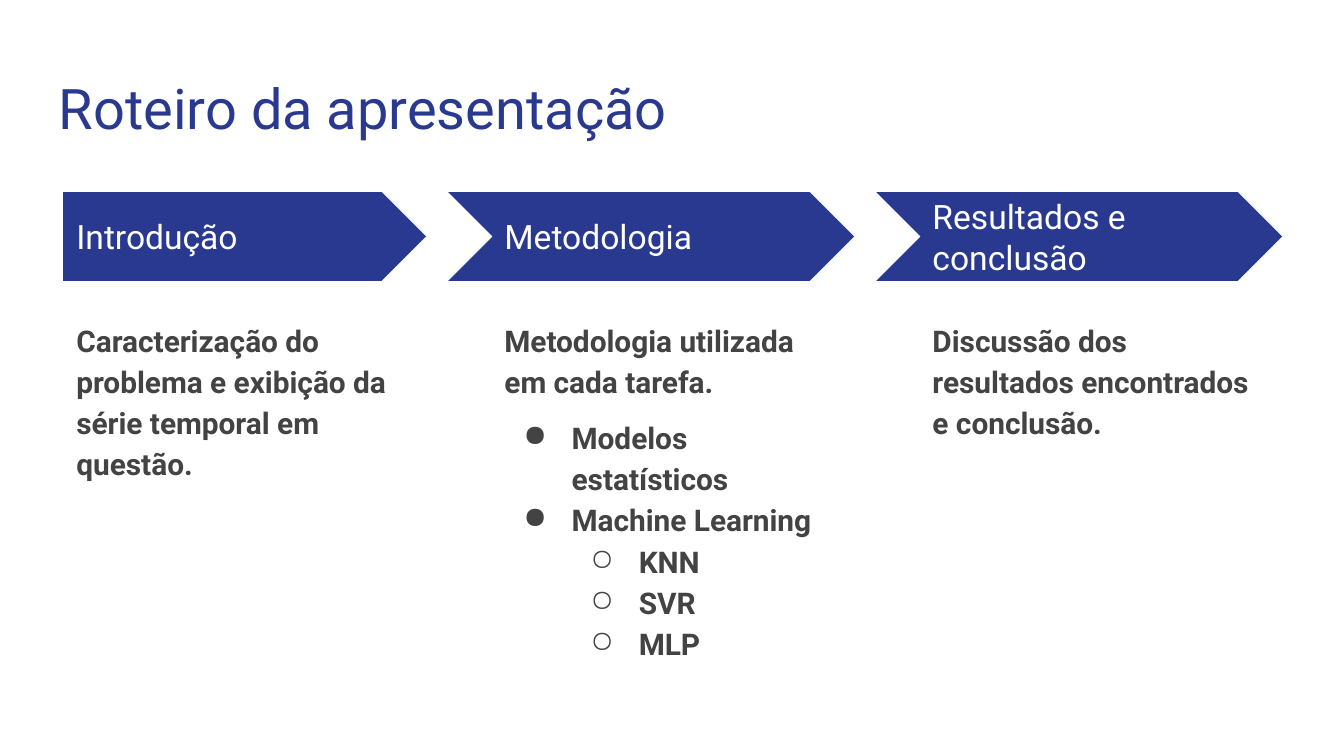
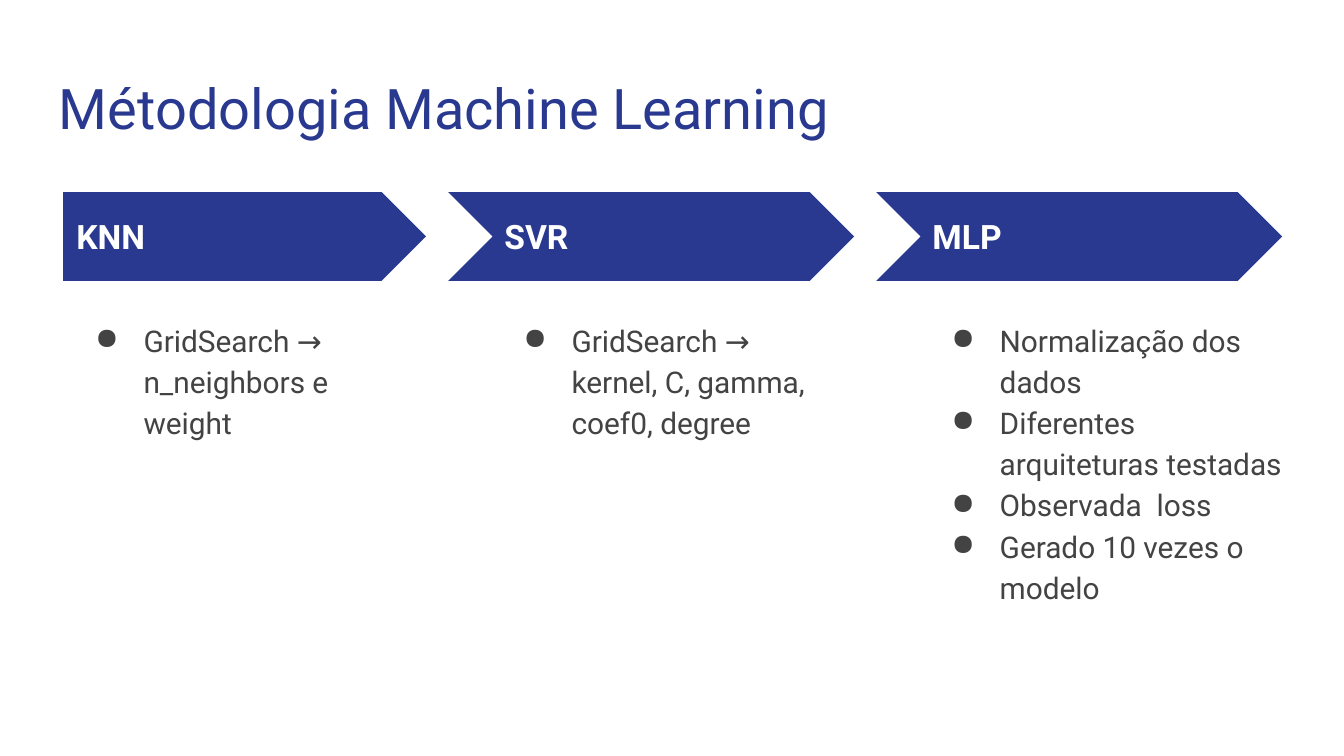
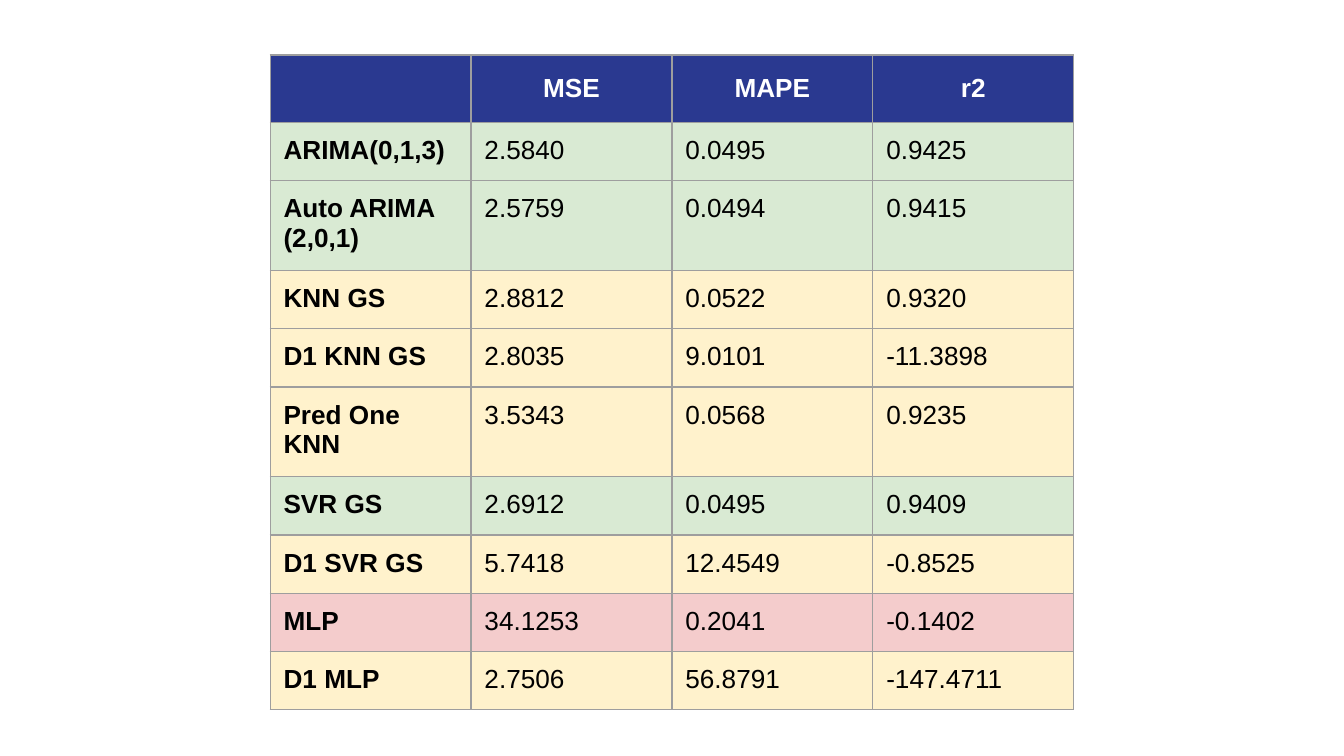
"""Build three slides on a time series study: outline, machine learning methods and metrics."""
from dataclasses import dataclass

from lxml import etree
from pptx import Presentation, util as u
from pptx.dml.color import RGBColor
from pptx.enum import shapes, text
from pptx.oxml.ns import qn


@dataclass(frozen=True)
class Theme:
    navy: str = "2A3990"
    white: str = "FFFFFF"
    body: str = "434343"
    black: str = "000000"
    rule: str = "9E9E9E"
    good: str = "D9EAD3"
    fair: str = "FFF2CC"
    poor: str = "F4CCCC"
    font: str = "Roboto"
    table_font: str = "Arial"
    title_size: int = 30
    label_size: int = 18
    body_size: int = 16
    table_size: int = 14


theme = Theme()
INSET = u.Inches(0.1)
BULLETS = {1: "●", 2: "○"}


def style_run(run, font, size, color, bold):
    run.font.name = font
    run.font.size = u.Pt(size)
    run.font.bold = bold
    run.font.color.rgb = RGBColor.from_string(color)


def write(slide, box, items, size, color, bold=False, anchor=text.MSO_ANCHOR.TOP, spacing=1.0):
    frame = slide.shapes.add_textbox(*map(u.Inches, box)).text_frame
    frame.word_wrap = True
    frame.vertical_anchor = anchor
    frame.margin_left = frame.margin_right = frame.margin_top = frame.margin_bottom = INSET
    frame.text = "\n".join(words for _, words in items)
    for paragraph, (level, _) in zip(frame.paragraphs, items):
        paragraph.line_spacing = spacing
        style_run(paragraph.runs[0], theme.font, size, color, bold)
        if level == 0:
            paragraph.space_after = u.Pt(8)
            continue
        paragraph.level = level - 1
        properties = paragraph._p.get_or_add_pPr()
        properties.set("marL", str(u.Inches(0.5 * level)))
        properties.set("indent", str(u.Inches(-0.36)))
        bullet_color = etree.SubElement(properties, qn("a:buClr"))
        etree.SubElement(bullet_color, qn("a:srgbClr"), val=color)
        etree.SubElement(properties, qn("a:buChar"), char=BULLETS[level])


deck = Presentation()
deck.slide_width = u.Inches(10)
deck.slide_height = u.Inches(5.625)
blank = deck.slide_layouts[6]

LEFT, PITCH, COLUMN, NOTCH = 0.47, 3.185, 2.7, 0.32
BAND_TOP, BAND_HEIGHT = 1.43, 0.66
LABEL_WIDTH, LABEL_HEIGHT = 2.47, 0.34
DETAIL_TOP, DETAIL_HEIGHT = 2.26, 2.9

stage_slides = [
    ("Roteiro da apresentação", False, True, [
        ("Introdução", COLUMN,
         [(0, "Caracterização do problema e exibição da série temporal em questão.")]),
        ("Metodologia", COLUMN,
         [(0, "Metodologia utilizada em cada tarefa."), (1, "Modelos estatísticos"),
          (1, "Machine Learning"), (2, "KNN"), (2, "SVR"), (2, "MLP")]),
        ("Resultados e conclusão", COLUMN,
         [(0, "Discussão dos resultados encontrados e conclusão.")]),
    ]),
    ("Métodologia Machine Learning", True, False, [
        ("KNN", COLUMN, [(1, "GridSearch → n_neighbors e weight")]),
        ("SVR", COLUMN, [(1, "GridSearch → kernel, C, gamma, coef0, degree")]),
        ("MLP", 2.92,
         [(1, "Normalização dos dados"), (1, "Diferentes arquiteturas testadas"),
          (1, "Observada  loss"), (1, "Gerado 10 vezes o modelo")]),
    ]),
]

for title, bold_labels, bold_details, stages in stage_slides:
    slide = deck.slides.add_slide(blank)
    write(slide, (0.34, 0.45, 9.32, 0.66), [(0, title)], theme.title_size, theme.navy)
    for position, (label, detail_width, details) in enumerate(stages):
        left = LEFT + position * PITCH
        notch = NOTCH if position else 0
        outline = shapes.MSO_SHAPE.CHEVRON if position else shapes.MSO_SHAPE.PENTAGON
        arrow = slide.shapes.add_shape(
            outline, *map(u.Inches, (left - notch, BAND_TOP, COLUMN + notch, BAND_HEIGHT)))
        arrow.shadow.inherit = False
        arrow.fill.solid()
        arrow.fill.fore_color.rgb = RGBColor.from_string(theme.navy)
        arrow.line.fill.background()
        label_top = BAND_TOP + (BAND_HEIGHT - LABEL_HEIGHT) / 2
        write(slide, (left, label_top, LABEL_WIDTH, LABEL_HEIGHT), [(0, label)],
              theme.label_size, theme.white, bold_labels, text.MSO_ANCHOR.MIDDLE)
        write(slide, (left, DETAIL_TOP, detail_width, DETAIL_HEIGHT), details,
              theme.body_size, theme.body, bold_details, spacing=1.15)

metrics = [
    (theme.navy, "", "MSE", "MAPE", "r2"),
    (theme.good, "ARIMA(0,1,3)", "2.5840", "0.0495", "0.9425"),
    (theme.good, "Auto ARIMA (2,0,1)", "2.5759", "0.0494", "0.9415"),
    (theme.fair, "KNN GS", "2.8812", "0.0522", "0.9320"),
    (theme.fair, "D1 KNN GS", "2.8035", "9.0101", "-11.3898"),
    (theme.fair, "Pred One KNN", "3.5343", "0.0568", "0.9235"),
    (theme.good, "SVR GS", "2.6912", "0.0495", "0.9409"),
    (theme.fair, "D1 SVR GS", "5.7418", "12.4549", "-0.8525"),
    (theme.poor, "MLP", "34.1253", "0.2041", "-0.1402"),
    (theme.fair, "D1 MLP", "2.7506", "56.8791", "-147.4711"),
]
COLUMN_COUNT, CELL_WIDTH, CELL_HEIGHT = 4, 1.495, 0.42

slide = deck.slides.add_slide(blank)
table = slide.shapes.add_table(
    len(metrics), COLUMN_COUNT,
    *map(u.Inches, (2.01, 0.41, COLUMN_COUNT * CELL_WIDTH, len(metrics) * CELL_HEIGHT))).table
table.horz_banding = False
for row, (tint, *entries) in enumerate(metrics):
    table.rows[row].height = u.Inches(CELL_HEIGHT)
    for column, entry in enumerate(entries):
        cell = table.cell(row, column)
        cell.margin_left = cell.margin_right = cell.margin_top = cell.margin_bottom = INSET
        cell.text_frame.text = entry
        if row == 0:
            cell.vertical_anchor = text.MSO_ANCHOR.MIDDLE
            cell.text_frame.paragraphs[0].alignment = text.PP_ALIGN.CENTER
        for run in cell.text_frame.paragraphs[0].runs:
            style_run(run, theme.table_font, theme.table_size,
                      theme.black if row else theme.white, row == 0 or column == 0)
        properties = cell._tc.get_or_add_tcPr()
        for side in ("a:lnL", "a:lnR", "a:lnT", "a:lnB"):
            border = etree.SubElement(properties, qn(side), w=str(u.Pt(0.75)))
            stroke = etree.SubElement(border, qn("a:solidFill"))
            etree.SubElement(stroke, qn("a:srgbClr"), val=theme.rule)
        cell.fill.solid()
        cell.fill.fore_color.rgb = RGBColor.from_string(tint)

deck.save("out.pptx")
